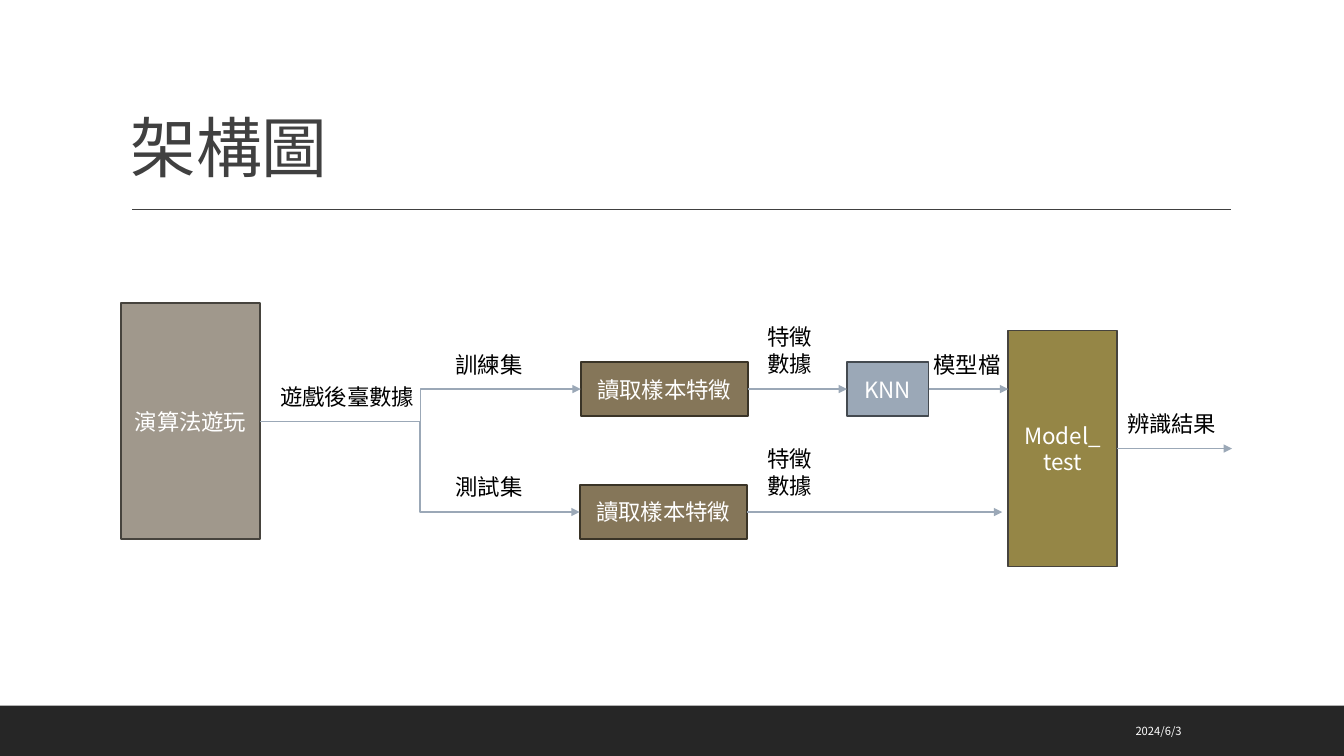
from lxml import etree
from pptx import Presentation
from pptx.dml.color import RGBColor
from pptx.enum.shapes import MSO_CONNECTOR as CONNECTOR, MSO_SHAPE as SHAPE
from pptx.enum.text import MSO_ANCHOR as ANCHOR, MSO_AUTO_SIZE as AUTO_SIZE, PP_ALIGN as ALIGN
from pptx.oxml.ns import qn
from pptx.util import Pt

PX = 9144  # 100 px to the inch
SANS_SC = "Noto Sans CJK SC"
SANS_TC = "Noto Sans CJK TC"
WHITE = RGBColor(0xFF, 0xFF, 0xFF)
BLACK = RGBColor(0x00, 0x00, 0x00)
CHARCOAL = RGBColor(0x26, 0x26, 0x26)
GRAY = RGBColor(0x40, 0x40, 0x40)
BROWN = RGBColor(0x85, 0x76, 0x59)
DARK_BROWN = RGBColor(0x3A, 0x34, 0x27)
OLIVE = RGBColor(0x95, 0x86, 0x46)
TAUPE = RGBColor(0xA0, 0x98, 0x8C)
DARK_TAUPE = RGBColor(0x46, 0x43, 0x3D)
BLUE_GRAY = RGBColor(0x9B, 0xA8, 0xB7)
DARK_BLUE_GRAY = RGBColor(0x44, 0x4A, 0x50)


def write_text(shape, text, size, color, align=ALIGN.LEFT, anchor=ANCHOR.TOP, font=SANS_SC):
    """Fill a shape with one paragraph per line of text."""
    frame = shape.text_frame
    frame.word_wrap = True
    frame.vertical_anchor = anchor
    for index, line in enumerate(text.split("\n")):
        paragraph = frame.add_paragraph() if index else frame.paragraphs[0]
        paragraph.alignment = align
        run = paragraph.add_run()
        run.text = line
        run.font.size = Pt(size)
        run.font.name = font
        run.font.color.rgb = color
        etree.SubElement(run.font._element, qn("a:ea")).set("typeface", font)
    return frame


def add_line(kind, start, end, color, arrow=True):
    """Draw a connector without shadow, with an arrowhead at its end if asked."""
    connector = slide.shapes.add_connector(kind, *(value * PX for value in start + end))
    connector.line.color.rgb = color
    connector.line.width = Pt(1)
    if arrow:
        tail = etree.SubElement(connector.line._get_or_add_ln(), qn("a:tailEnd"))
        tail.set("type", "triangle")
    etree.SubElement(connector._element.spPr, qn("a:effectLst"))
    return connector


presentation = Presentation()
presentation.slide_width = 1333 * PX
presentation.slide_height = 750 * PX
slide = presentation.slides.add_slide(presentation.slide_layouts[6])

# Footer band and date
band = slide.shapes.add_shape(SHAPE.RECTANGLE, 0, 700 * PX, 1333 * PX, 50 * PX)
band.shadow.inherit = False
band.fill.solid()
band.fill.fore_color.rgb = CHARCOAL
band.line.fill.background()
date = slide.shapes.add_textbox(899 * PX, 705 * PX, 283 * PX, 40 * PX)
write_text(date, "2024/6/3", 8, WHITE, ALIGN.RIGHT, ANCHOR.MIDDLE, SANS_TC)

# Title and rule
title = slide.shapes.add_textbox(120 * PX, 31 * PX, 1100 * PX, 159 * PX)
title_paragraph = write_text(title, "架構圖", 47, GRAY, anchor=ANCHOR.BOTTOM).paragraphs[0]
title_paragraph.line_spacing = 0.9
title_paragraph.runs[0].font._element.set("spc", "-50")
add_line(CONNECTOR.STRAIGHT, (131, 208), (1221, 208), GRAY, arrow=False)

# Boxes: name, text, left, top, width, height, fill, outline
boxes = {}
for name, text, left, top, width, height, fill, outline in [
    ("game", "演算法遊玩", 120, 301, 138, 234, TAUPE, DARK_TAUPE),
    ("train", "讀取樣本特徵", 576, 359, 166, 54, BROWN, DARK_BROWN),
    ("test", "讀取樣本特徵", 575, 481, 166, 54, BROWN, DARK_BROWN),
    ("knn", "KNN", 840, 359, 81, 54, BLUE_GRAY, DARK_BLUE_GRAY),
    ("model", "Model_\ntest", 1000, 328, 108, 234, OLIVE, DARK_TAUPE),
]:
    box = slide.shapes.add_shape(SHAPE.RECTANGLE, left * PX, top * PX, width * PX, height * PX)
    box.shadow.inherit = False
    box.fill.solid()
    box.fill.fore_color.rgb = fill
    box.line.color.rgb = outline
    box.line.width = Pt(1.25)
    write_text(box, text, 16, WHITE, ALIGN.CENTER, ANCHOR.MIDDLE)
    boxes[name] = box

# Arrows: from the right side of one box, to the left side of another if it meets its middle
for kind, source, target, start, end in [
    (CONNECTOR.ELBOW, "game", "train", (258, 418), (576, 386)),
    (CONNECTOR.ELBOW, "game", "test", (258, 418), (575, 508)),
    (CONNECTOR.STRAIGHT, "train", "knn", (742, 386), (840, 386)),
    (CONNECTOR.STRAIGHT, "knn", None, (921, 386), (1000, 386)),
    (CONNECTOR.STRAIGHT, "test", None, (741, 508), (994, 508)),
    (CONNECTOR.STRAIGHT, "model", None, (1108, 445), (1222, 445)),
]:
    arrow = add_line(kind, start, end, BLUE_GRAY)
    arrow.begin_connect(boxes[source], 3)
    if target:
        arrow.end_connect(boxes[target], 1)

# Arrow labels
for text, left, top, width, height in [
    ("遊戲後臺數據", 268, 375, 157, 37),
    ("訓練集", 442, 343, 92, 37),
    ("測試集", 442, 464, 92, 37),
    ("特徵數據", 751, 316, 69, 64),
    ("特徵數據", 751, 437, 69, 64),
    ("模型檔", 916, 343, 90, 37),
    ("辨識結果", 1108, 402, 114, 37),
]:
    label = slide.shapes.add_textbox(left * PX, top * PX, width * PX, height * PX)
    write_text(label, text, 16, BLACK).auto_size = AUTO_SIZE.SHAPE_TO_FIT_TEXT

presentation.save("out.pptx")
